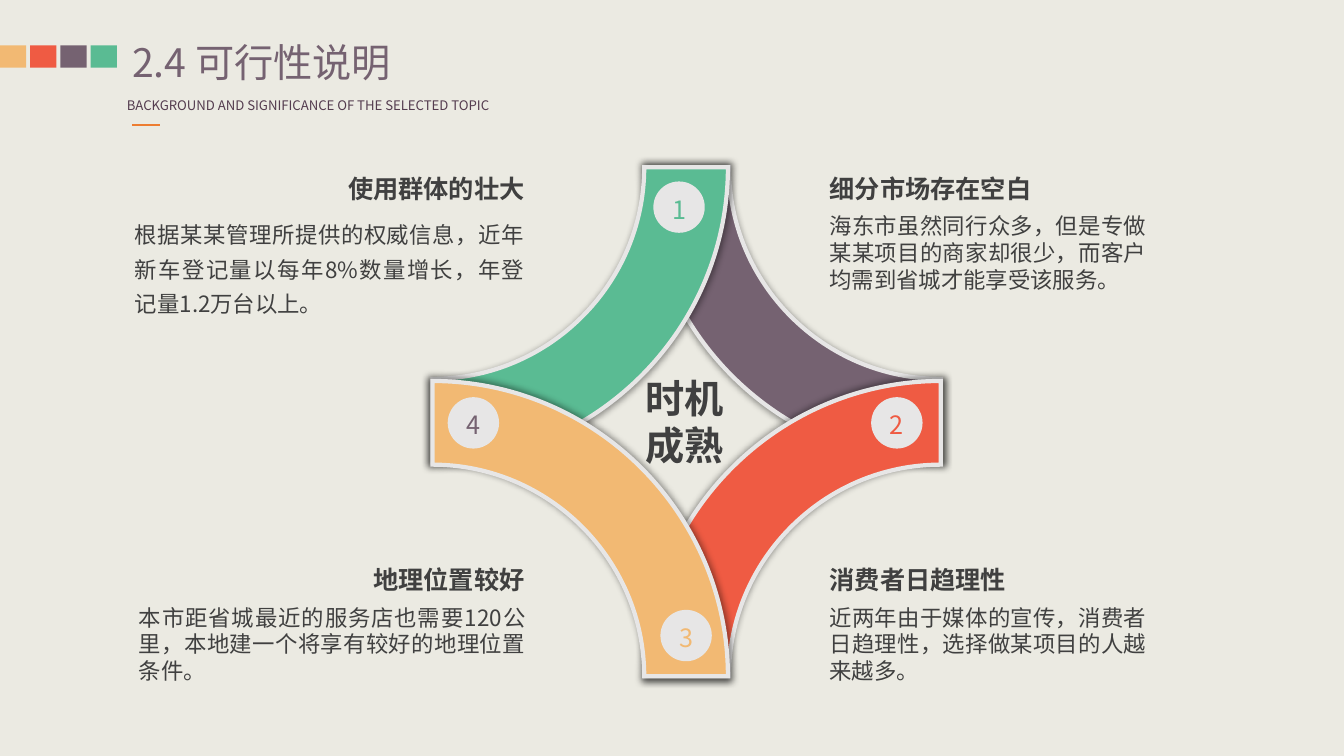
from math import cos, pi, sin

from lxml.etree import SubElement
from pptx import Presentation
from pptx.dml.color import RGBColor
from pptx.enum.shapes import MSO_CONNECTOR as CONNECTOR, MSO_SHAPE as SHAPE
from pptx.enum.text import MSO_ANCHOR as ANCHOR, PP_ALIGN as ALIGN
from pptx.oxml.ns import qn
from pptx.util import Inches, Pt

FONT = "Noto Sans CJK SC"
CREAM = RGBColor(0xEB, 0xEA, 0xE2)
PALE = RGBColor(0xE7, 0xE6, 0xE6)
DARK = RGBColor(0x40, 0x40, 0x40)
PLUM = RGBColor(0x54, 0x3C, 0x4F)
PURPLE = RGBColor(0x75, 0x62, 0x71)
GREEN = RGBColor(0x5A, 0xBB, 0x93)
RED = RGBColor(0xEF, 0x5B, 0x43)
SAND = RGBColor(0xF2, 0xB9, 0x73)
ORANGE = RGBColor(0xED, 0x7D, 0x31)


def write(frame, text, size, color, align=ALIGN.LEFT, bold=False, leading=1.2):
    """Fill a text frame; leading is the line height in multiples of the size."""
    frame.word_wrap = True
    frame.text = text
    paragraph = frame.paragraphs[0]
    paragraph.alignment = align
    if leading:
        paragraph.line_spacing = Pt(size * leading)
    font = paragraph.font
    font.name, font.size, font.bold = FONT, Pt(size), bold
    font.color.rgb = color
    for run in paragraph.runs:
        SubElement(run._r.get_or_add_rPr(), qn("a:ea"), typeface=FONT)


def add_flat_shape(kind, left, top, width, height, color):
    shape = slide.shapes.add_shape(
        kind, Inches(left), Inches(top), Inches(width), Inches(height))
    shape.shadow.inherit = False
    shape.fill.solid()
    shape.fill.fore_color.rgb = color
    shape.line.fill.background()
    return shape


prs = Presentation()
prs.slide_width, prs.slide_height = Inches(13.33), Inches(7.5)
slide = prs.slides.add_slide(prs.slide_layouts[5])
slide.background.fill.solid()
slide.background.fill.fore_color.rgb = CREAM

# Header
for i, color in enumerate((SAND, RED, PURPLE, GREEN)):
    add_flat_shape(SHAPE.RECTANGLE, 0.3 * i, 0.45, 0.26, 0.22, color)

title = slide.shapes.title
title.left, title.top = Inches(1.31), Inches(0.38)
title.width, title.height = Inches(3.99), Inches(0.47)
heading = title.text_frame
heading.margin_left = heading.margin_right = 0
heading.margin_top = heading.margin_bottom = 0
heading.vertical_anchor = ANCHOR.TOP
write(heading, "2.4 可行性说明", 28, PURPLE)

subtitle = slide.shapes.add_textbox(
    Inches(1.16), Inches(0.92), Inches(4.07), Inches(0.26)).text_frame
write(subtitle, "BACKGROUND AND SIGNIFICANCE OF THE SELECTED TOPIC", 9.33, PLUM)
subtitle.word_wrap = False

accent = slide.shapes.add_connector(
    CONNECTOR.STRAIGHT, Inches(1.31), Inches(1.24), Inches(1.59), Inches(1.24))
accent.line.color.rgb = ORANGE
accent.line.width = Pt(1.5)
SubElement(accent._element.spPr, qn("a:effectLst"))

# Four reasons: heading left and width, body left, width and height, top,
# align, leading, heading, body
reasons = [
    (8.13, 2.1, 8.13, 3.34, 0.91, 5.55, ALIGN.LEFT, 1.2, "消费者日趋理性",
     "近两年由于媒体的宣传，消费者日趋理性，选择做某项目的人越来越多。"),
    (2.87, 2.43, 1.24, 4.06, 1.15, 1.67, ALIGN.RIGHT, 1.56, "使用群体的壮大",
     "根据某某管理所提供的权威信息，近年新车登记量以每年8%数量增长，年登记量1.2万台以上。"),
    (8.13, 2.29, 8.13, 3.34, 0.91, 1.67, ALIGN.LEFT, 1.2, "细分市场存在空白",
     "海东市虽然同行众多，但是专做某某项目的商家却很少，而客户均需到省城才能享受该服务。"),
    (2.59, 2.71, 1.28, 4.03, 0.91, 5.55, ALIGN.RIGHT, 1.2, "地理位置较好",
     "本市距省城最近的服务店也需要120公里，本地建一个将享有较好的地理位置条件。"),
]
for left, width, body_left, body_width, height, top, align, leading, reason, detail in reasons:
    reason_box = slide.shapes.add_textbox(
        Inches(left), Inches(top), Inches(width), Inches(0.4))
    write(reason_box.text_frame, reason, 18, DARK, align, bold=True)
    detail_box = slide.shapes.add_textbox(
        Inches(body_left), Inches(top + 0.39), Inches(body_width), Inches(height))
    write(detail_box.text_frame, detail, 16, DARK, ALIGN.JUSTIFY, leading=leading)

center = slide.shapes.add_textbox(
    Inches(6.18), Inches(3.66), Inches(1.22), Inches(1.04))
write(center.text_frame, "时机成熟", 28, DARK, ALIGN.CENTER, bold=True)

# Quarter-ring bands: ring centre and the quarter turn each one starts at
OUTER, INNER = 2.93, 2.1
HANDLE = 0.55  # Bezier handle length of a quarter circle, in radii
bands = [
    (9.33, 1.66, 1, PURPLE),
    (4.29, 1.66, 0, GREEN),
    (9.33, 6.71, 2, RED),
    (4.29, 6.71, 3, SAND),
]
for x, y, quarter, color in bands:
    start = quarter * pi / 2
    ux, uy = cos(start), sin(start)
    vx, vy = -uy, ux
    arc = [(1, 0), (1, HANDLE), (HANDLE, 1), (0, 1)]
    rim = [(OUTER * u, OUTER * v) for u, v in arc]
    rim += [(INNER * u, INNER * v) for u, v in reversed(arc)]
    points = [(Inches(x + u * ux + v * vx), Inches(y + u * uy + v * vy)) for u, v in rim]
    builder = slide.shapes.build_freeform(*points[0])
    builder.add_line_segments(points[1:], close=True)
    band = builder.convert_to_shape()
    properties = band._element.spPr

    # Segments 1-3 and 5-7 each become one curve
    segments = list(properties.iter(qn("a:lnTo")))
    for first in (0, 4):
        outline = segments[first].getparent()
        curve = SubElement(outline, qn("a:cubicBezTo"))
        outline.replace(segments[first], curve)
        for segment in segments[first:first + 3]:
            curve.append(segment[0])
        for segment in segments[first + 1:first + 3]:
            outline.remove(segment)

    band.fill.solid()
    band.fill.fore_color.rgb = color
    band.line.color.rgb = PALE
    band.line.width = Pt(3)
    SubElement(properties.find(qn("a:ln")), qn("a:miter"), lim="800000")
    band.shadow.inherit = False
    shadow = SubElement(properties.find(qn("a:effectLst")), qn("a:outerShdw"),
                        blurRad=str(Pt(5)), dist="0", dir="0", sx="102000",
                        sy="102000", algn="ctr", rotWithShape="0")
    black = SubElement(shadow, qn("a:srgbClr"), val="000000")
    SubElement(black, qn("a:alpha"), val="40000")

badges = [(6.48, 1.8, GREEN), (8.64, 3.94, RED), (6.55, 6.05, SAND), (4.44, 3.94, PURPLE)]
for number, (left, top, color) in enumerate(badges, 1):
    badge = add_flat_shape(SHAPE.OVAL, left, top, 0.51, 0.51, PALE).text_frame
    badge.margin_left = badge.margin_right = badge.margin_bottom = 0
    badge.margin_top = Inches(0.04)
    badge.vertical_anchor = ANCHOR.MIDDLE
    write(badge, str(number), 18, color, ALIGN.CENTER, leading=None)

prs.save("out.pptx")
